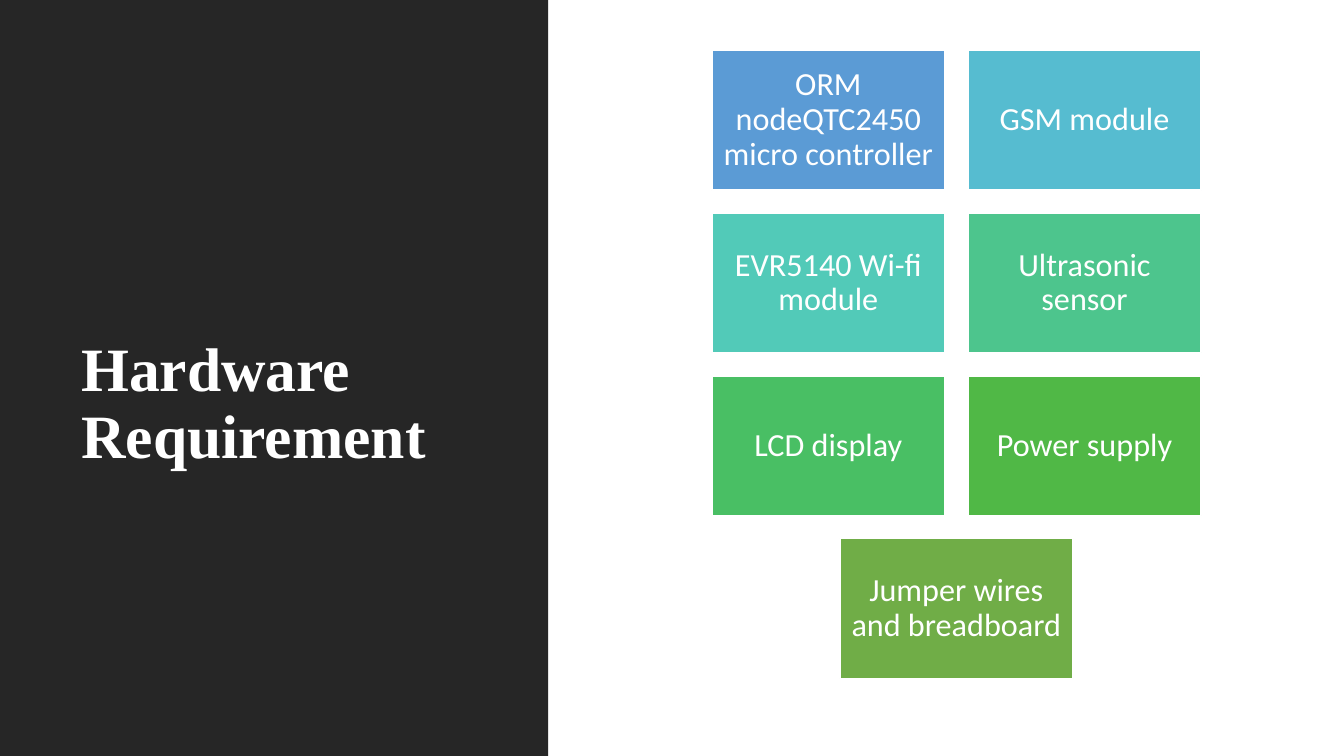
from pptx import Presentation
from pptx.dml.color import RGBColor
from pptx.enum.shapes import MSO_SHAPE
from pptx.enum.text import MSO_ANCHOR, PP_ALIGN
from pptx.util import Pt

RECT = MSO_SHAPE.RECTANGLE
BOTTOM, MIDDLE = MSO_ANCHOR.BOTTOM, MSO_ANCHOR.MIDDLE
LEFT, CENTER = PP_ALIGN.LEFT, PP_ALIGN.CENTER

WHITE = RGBColor(0xFF, 0xFF, 0xFF)
CHARCOAL = RGBColor(0x26, 0x26, 0x26)

TITLE = "Hardware Requirement"
PARTS = [
    ("ORM nodeQTC2450 micro controller", RGBColor(0x5B, 0x9B, 0xD5)),
    ("GSM module", RGBColor(0x56, 0xBC, 0xD0)),
    ("EVR5140 Wi-fi module", RGBColor(0x52, 0xCA, 0xB8)),
    ("Ultrasonic sensor", RGBColor(0x4D, 0xC5, 0x8D)),
    ("LCD display", RGBColor(0x49, 0xBF, 0x64)),
    ("Power supply", RGBColor(0x50, 0xB8, 0x46)),
    ("Jumper wires and breadboard", RGBColor(0x70, 0xAD, 0x47)),
]

# Lengths in px, 96 to the inch
PX = 9525
SLIDE_W, SLIDE_H = 1280, 720
PANEL_W = 522
TITLE_BOX = (68, 67, 354, 387)
COLUMNS = 2
GRID_CENTER, GRID_TOP = 911, 48
CARD_W, CARD_H = 222, 133
PITCH_X, PITCH_Y = 244, 155
CARD_INSET = 9


def emu(*lengths):
    return [n * PX for n in lengths]


def add_rect(s, box, fill):
    sp = s.shapes.add_shape(RECT, *emu(*box))
    sp.shadow.inherit = False
    sp.fill.solid()
    sp.fill.fore_color.rgb = fill
    sp.line.fill.background()
    return sp


def write(tf, text, font, size, align, anchor, bold=False):
    tf.word_wrap = True
    tf.vertical_anchor = anchor
    p = tf.paragraphs[0]
    p.alignment = align
    p.line_spacing = 0.9
    r = p.add_run()
    r.text = text
    r.font.name = font
    r.font.size = Pt(size)
    r.font.bold = bold
    r.font.color.rgb = WHITE


def add_card(s, box, text, fill):
    sp = add_rect(s, box, fill)
    sp.line.color.rgb = WHITE
    sp.line.width = Pt(1)
    tf = sp.text_frame
    tf.margin_left = tf.margin_right = tf.margin_top = tf.margin_bottom = CARD_INSET * PX
    write(tf, text, "Calibri", 23, CENTER, MIDDLE)


def main():
    prs = Presentation()
    prs.slide_width, prs.slide_height = emu(SLIDE_W, SLIDE_H)
    s = prs.slides.add_slide(prs.slide_layouts[6])

    add_rect(s, (0, 0, PANEL_W, SLIDE_H), CHARCOAL)
    title = s.shapes.add_textbox(*emu(*TITLE_BOX))
    write(title.text_frame, TITLE, "Times New Roman", 44, LEFT, BOTTOM, bold=True)

    for start in range(0, len(PARTS), COLUMNS):
        row = PARTS[start:start + COLUMNS]
        row_w = (len(row) - 1) * PITCH_X + CARD_W
        left = GRID_CENTER - row_w // 2  # a short last row stays centred
        top = GRID_TOP + start // COLUMNS * PITCH_Y
        for col, (text, fill) in enumerate(row):
            add_card(s, (left + col * PITCH_X, top, CARD_W, CARD_H), text, fill)

    prs.save("out.pptx")


if __name__ == "__main__":
    main()
